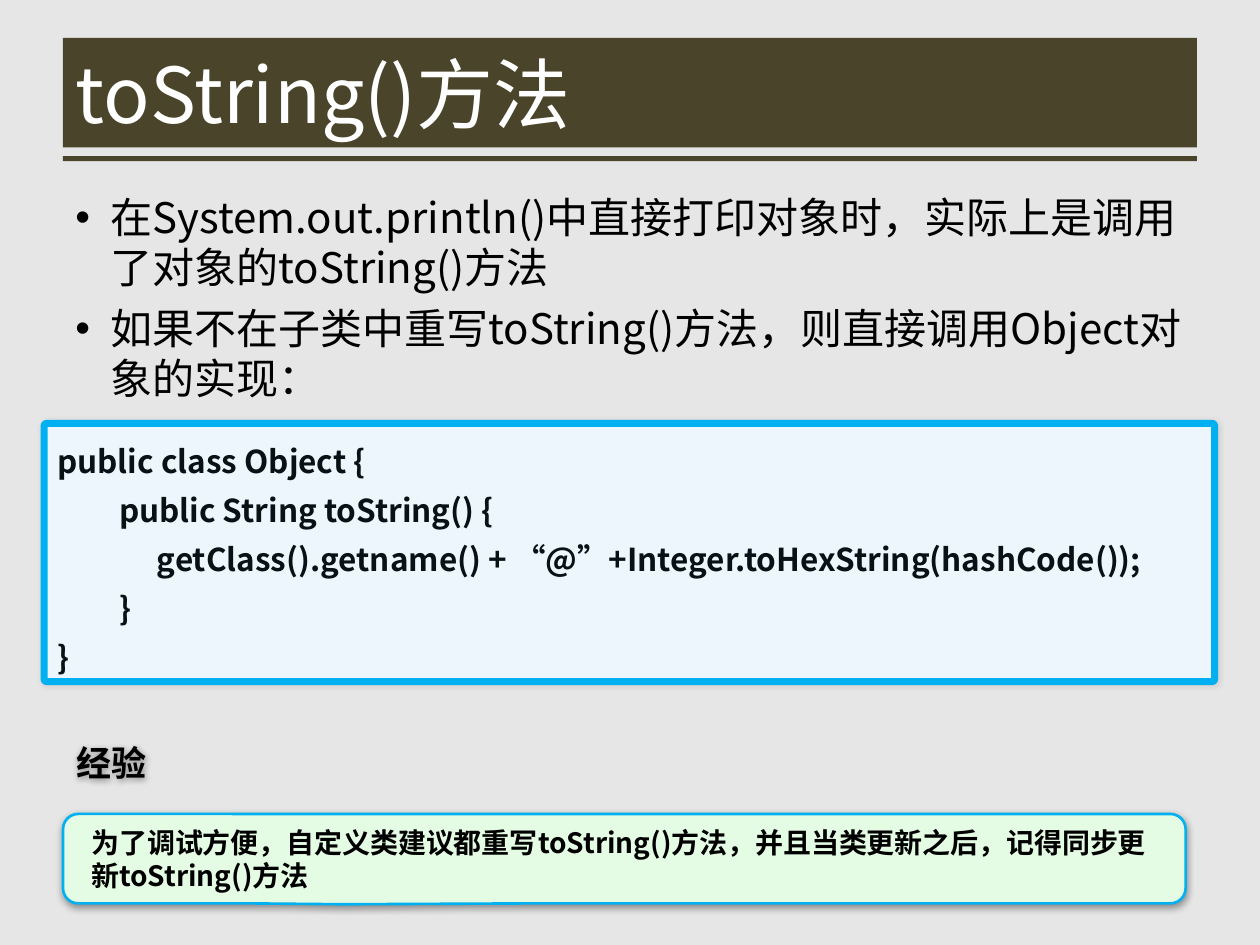
from lxml import etree
from pptx import Presentation
from pptx.dml.color import RGBColor
from pptx.enum.shapes import MSO_SHAPE
from pptx.enum.text import MSO_ANCHOR, PP_ALIGN
from pptx.oxml.ns import qn
from pptx.util import Inches, Pt

RECTANGLE = MSO_SHAPE.RECTANGLE
ROUNDED = MSO_SHAPE.ROUNDED_RECTANGLE
CALLOUT = MSO_SHAPE.ROUNDED_RECTANGULAR_CALLOUT
TOP, MIDDLE = MSO_ANCHOR.TOP, MSO_ANCHOR.MIDDLE
LEFT = PP_ALIGN.LEFT

FONT = "Noto Sans CJK SC"
OLIVE, SKY, BLACK = "4A452A", "00B0F0", "000000"

BULLETS = [
    "在System.out.println()中直接打印对象时，实际上是调用了对象的toString()方法",
    "如果不在子类中重写toString()方法，则直接调用Object对象的实现：",
]
CODE = [
    "public class Object {",
    "\tpublic String toString() {",
    "\t\tgetClass().getname() + “@”+Integer.toHexString(hashCode());",
    "\t}",
    "}",
]
TIP = "为了调试方便，自定义类建议都重写toString()方法，并且当类更新之后，记得同步更新toString()方法"


def rgb(value):
    return RGBColor.from_string(value)


def place(shape, left, top, width, height):
    shape.left, shape.top = Inches(left), Inches(top)
    shape.width, shape.height = Inches(width), Inches(height)


def add_block(page, kind, area, fill, line=None, line_width=0):
    block = page.shapes.add_shape(kind, *map(Inches, area))
    block.shadow.inherit = False
    block.fill.solid()
    block.fill.fore_color.rgb = rgb(fill)
    if line:
        block.line.color.rgb = rgb(line)
        block.line.width = Pt(line_width)
    else:
        block.line.fill.background()
    return block


def add_shadow(shape, opacity, blur, distance, angle):
    """Give the shape a black outer shadow: percent, points, points, degrees."""
    shape.shadow.inherit = False
    effects = shape.element.spPr.find(qn("a:effectLst"))
    shadow = etree.SubElement(
        effects, qn("a:outerShdw"), blurRad=str(Pt(blur)), dist=str(Pt(distance)),
        dir=str(angle * 60000), algn="ctr", rotWithShape="0")
    color = etree.SubElement(shadow, qn("a:srgbClr"), val=BLACK)
    etree.SubElement(color, qn("a:alpha"), val=str(opacity * 1000))


def write(shape, lines, size, color, bold=False, anchor=TOP, wrap=True):
    frame = shape.text_frame
    frame.word_wrap = wrap
    frame.vertical_anchor = anchor
    frame.text = "\n".join(lines)
    for para in frame.paragraphs:
        para.alignment = LEFT
        for span in para.runs:
            span.font.name = FONT
            span.font.size = Pt(size)
            span.font.bold = bold
            span.font.color.rgb = rgb(color)
            etree.SubElement(span.font._element, qn("a:ea"), typeface=FONT)
    return frame.paragraphs


def add_bullet(para):
    props = para._p.get_or_add_pPr()
    props.set("marL", str(Inches(0.28)))
    props.set("indent", str(Inches(-0.28)))
    etree.SubElement(props, qn("a:buFont"), typeface="Arial")
    etree.SubElement(props, qn("a:buChar"), char="•")


def add_tabs(para, stops):
    tabs = etree.SubElement(para._p.get_or_add_pPr(), qn("a:tabLst"))
    for stop in stops:
        etree.SubElement(tabs, qn("a:tab"), pos=str(Inches(stop)), algn="l")


def add_title(page):
    title = page.shapes.title
    add_block(page, RECTANGLE, (0.5, 0.3, 9, 0.87), OLIVE)
    add_block(page, RECTANGLE, (0.5, 1.24, 9, 0.04), OLIVE)
    page.shapes.element.append(title.element)  # in front of the bars
    place(title, 0.5, 0.3, 9, 0.87)
    write(title, ["toString()方法"], 44, "FFFFFF", anchor=MIDDLE)


def add_bullets(page):
    box = page.shapes.add_textbox(*map(Inches, (0.5, 1.47, 9, 5.23)))
    paras = write(box, BULLETS, 24, BLACK)
    for para in paras:
        add_bullet(para)
    for para in paras[1:]:
        para.space_before = Pt(5.8)


def add_code(page):
    panel = add_block(page, ROUNDED, (0.35, 3.36, 9.29, 2.05), "EDF5FD", SKY, 4)
    panel.adjustments[0] = 0.01
    add_shadow(panel, 10, 3, 0, 0)
    for para in write(panel, CODE, 18, "071215", bold=True):
        add_tabs(para, (0.49, 0.79))
        para.line_spacing = 1.3


def add_tip(page):
    heading = page.shapes.add_textbox(*map(Inches, (0.51, 5.83, 0.77, 0.44)))
    add_shadow(heading, 40, 4, 1, 90)
    write(heading, ["经验"], 20, BLACK, bold=True, anchor=MIDDLE, wrap=False)

    callout = add_block(page, CALLOUT, (0.5, 6.46, 8.91, 0.71), "E4FCE4", SKY, 1.5)
    for index, value in enumerate((-0.25, 0.51, 0.17)):
        callout.adjustments[index] = value
    add_shadow(callout, 40, 4, 1, 90)
    write(callout, [TIP], 16, BLACK, bold=True, anchor=MIDDLE)
    callout.text_frame.margin_left = Inches(0.19)


def main():
    deck = Presentation()
    deck.slide_width, deck.slide_height = Inches(10), Inches(7.5)
    page = deck.slides.add_slide(deck.slide_layouts[5])
    page.background.fill.solid()
    page.background.fill.fore_color.rgb = rgb("E7E6E6")
    add_title(page)
    add_bullets(page)
    add_code(page)
    add_tip(page)
    deck.save("out.pptx")


if __name__ == "__main__":
    main()
